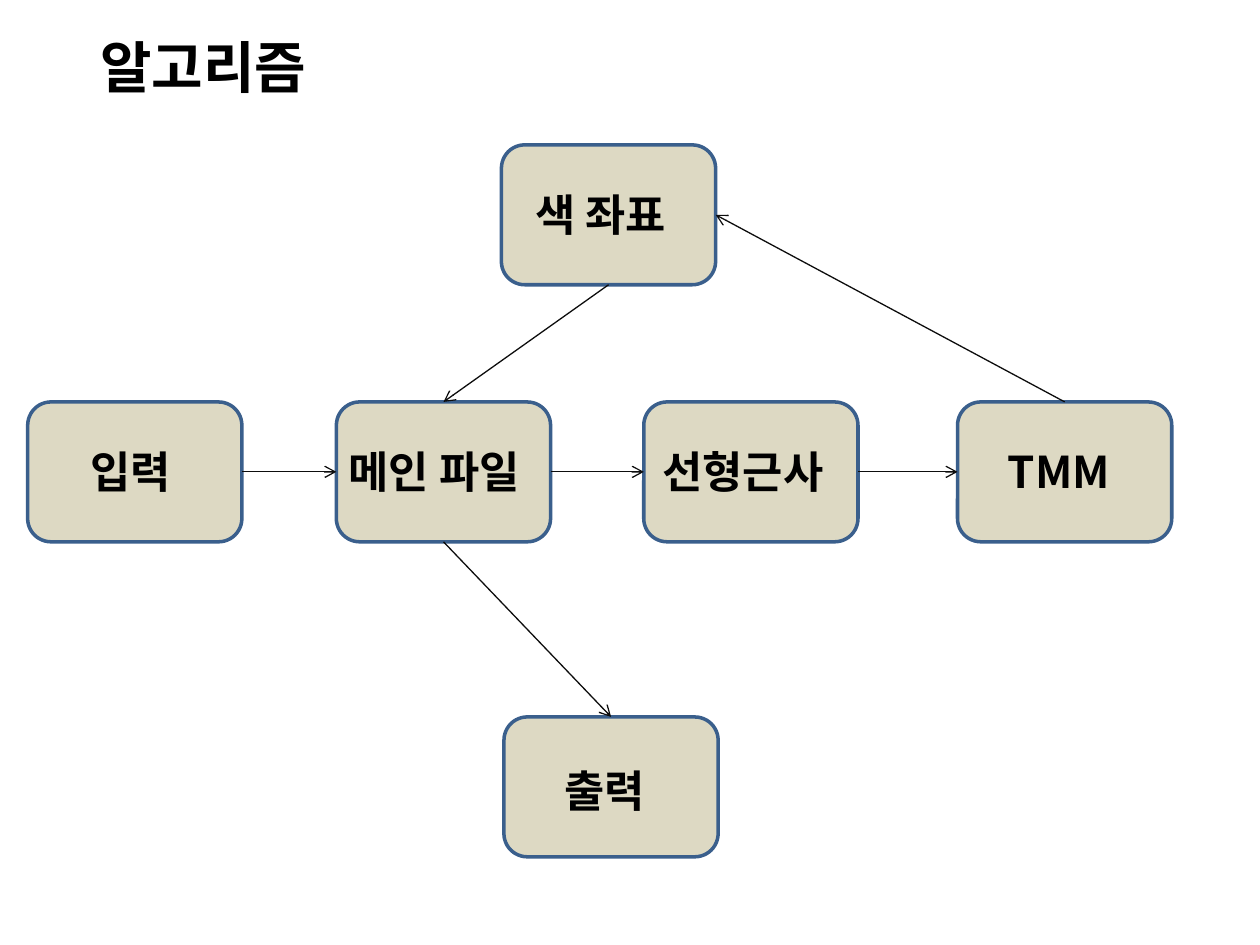
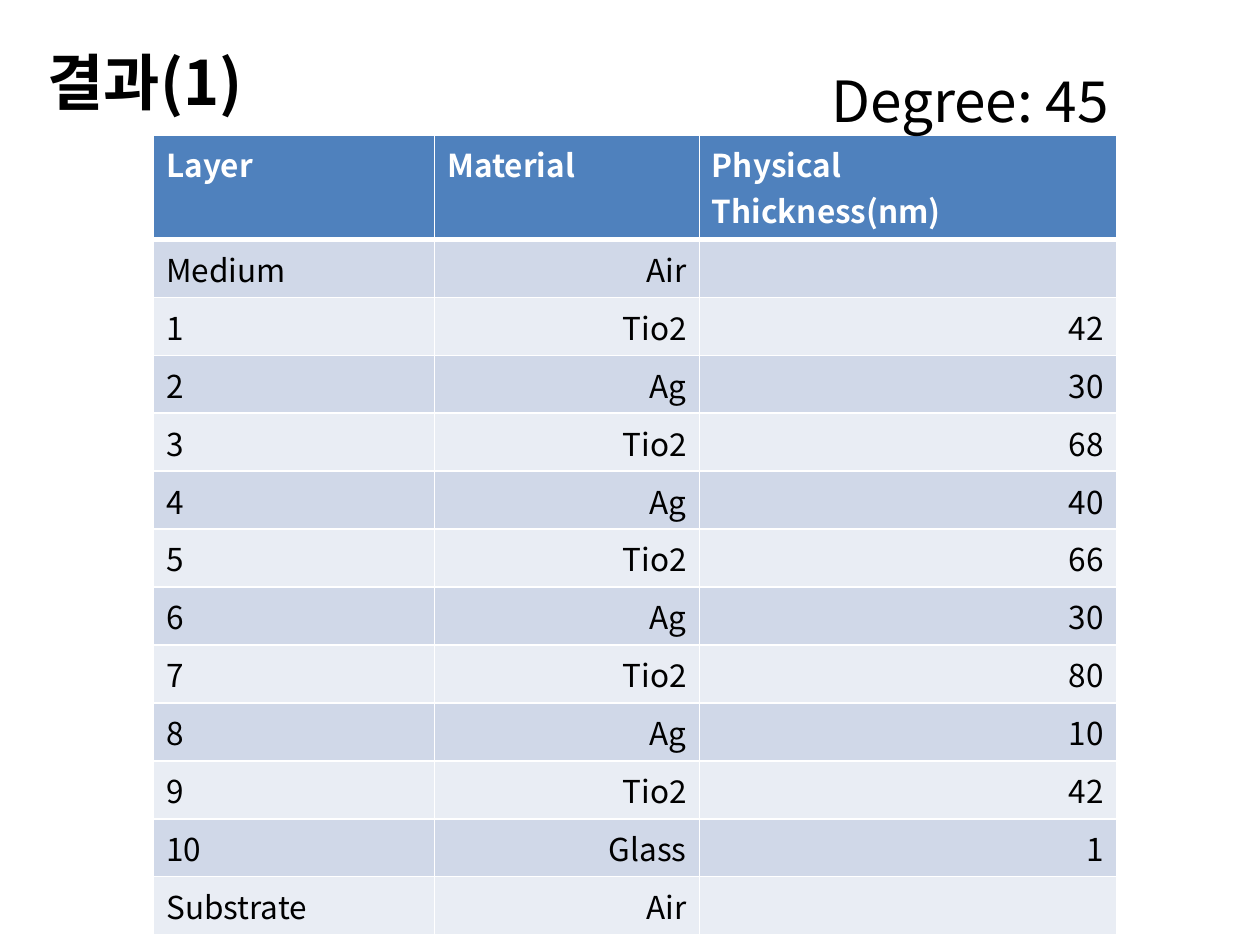
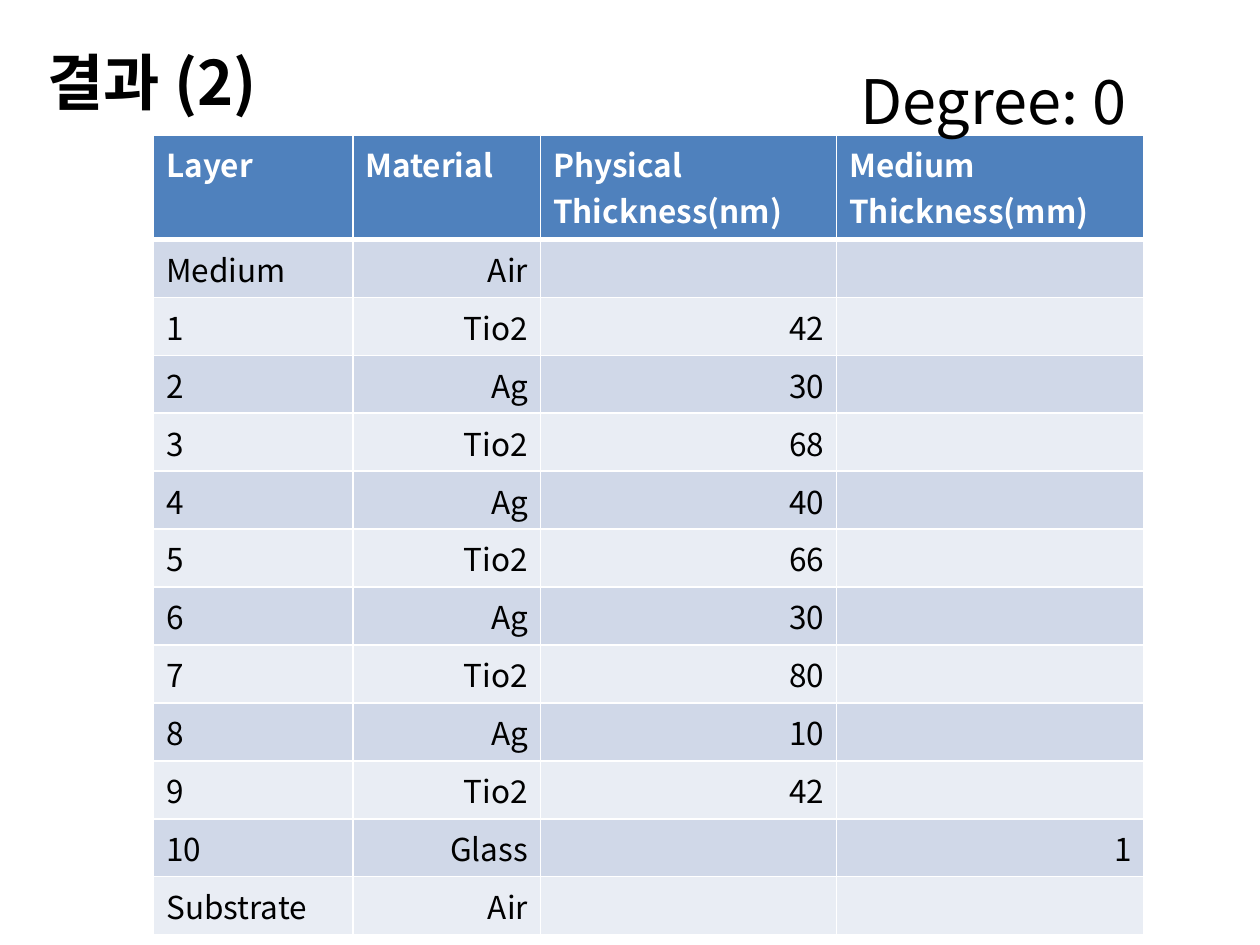
from dataclasses import dataclass

from lxml.etree import SubElement
from pptx import Presentation
from pptx.dml.color import RGBColor
from pptx.enum.shapes import MSO_CONNECTOR, MSO_SHAPE
from pptx.enum.text import MSO_ANCHOR, PP_ALIGN
from pptx.oxml.ns import qn
from pptx.shapes.autoshape import Shape
from pptx.slide import Slide
from pptx.table import _Cell
from pptx.text.text import TextFrame
from pptx.util import Inches, Pt

FONT = "Noto Sans CJK KR"
BLACK, WHITE = "000000", "FFFFFF"
STEP_FILL, STEP_LINE, ARROW_COLOR = "DDD9C3", "3A5F8C", "0D0D0D"
HEADER_FILL, BANDS = "4F81BD", ("D0D8E8", "E9EDF4")
STEP_WIDTH, STEP_HEIGHT = 1.7, 1.11
HEADER_HEIGHT, LAYER_HEIGHT = 0.83, 0.46
TOP, LEFT, BOTTOM, RIGHT = range(4)


@dataclass(frozen=True)
class TextStyle:
    size: float
    bold: bool = False
    color: str = BLACK
    align: PP_ALIGN = PP_ALIGN.LEFT


@dataclass(frozen=True)
class Area:
    left: float
    top: float
    width: float
    height: float


@dataclass(frozen=True)
class Step:
    label: str
    left: float
    top: float
    label_area: Area


@dataclass(frozen=True)
class Arrow:
    start: str
    start_side: int
    end: str
    end_side: int


@dataclass(frozen=True)
class Result:
    title: str
    degree: str
    degree_left: float
    degree_size: float
    column_widths: tuple[float, ...]
    headers: tuple[str, ...]
    rows: list[tuple[str, ...]]


TITLE_AREA = Area(0.28, 0.29, 3.23, 0.71)
TITLE_STYLE = TextStyle(35, bold=True)
LABEL_STYLE = TextStyle(25, bold=True)
HEADER_STYLE = TextStyle(18, bold=True, color=WHITE)

STEPS = [
    Step("입력", 0.22, 3.19, Area(0.62, 3.48, 1.1, 0.52)),
    Step("선형근사", 5.11, 3.19, Area(5.16, 3.48, 1.59, 0.52)),
    Step("TMM", 7.6, 3.19, Area(7.9, 3.48, 1.1, 0.52)),
    Step("색 좌표", 3.98, 1.15, Area(4.15, 1.44, 1.36, 0.52)),
    Step("메인 파일", 2.67, 3.19, Area(2.67, 3.48, 1.84, 0.52)),
    Step("출력", 4, 5.69, Area(4.38, 6.01, 0.94, 0.52)),
]
ARROWS = [
    Arrow("입력", RIGHT, "메인 파일", LEFT),
    Arrow("메인 파일", RIGHT, "선형근사", LEFT),
    Arrow("선형근사", RIGHT, "TMM", LEFT),
    Arrow("TMM", TOP, "색 좌표", RIGHT),
    Arrow("메인 파일", BOTTOM, "출력", TOP),
    Arrow("색 좌표", BOTTOM, "메인 파일", TOP),
]

FILM_THICKNESSES = (42, 30, 68, 40, 66, 30, 80, 10, 42)
FILMS = [
    (str(number), "Tio2" if number % 2 else "Ag", str(thickness))
    for number, thickness in enumerate(FILM_THICKNESSES, start=1)
]
HEADERS = ("Layer", "Material", "Physical\nThickness(nm)")
RESULTS = [
    Result(
        "결과(1)", "Degree: 45", 6.5, 32.4, (2.23, 2.1, 3.31), HEADERS,
        [("Medium", "Air"), *FILMS, ("10", "Glass", "1"), ("Substrate", "Air")],
    ),
    Result(
        "결과 (2)", "Degree: 0", 6.73, 35, (1.58, 1.49, 2.35, 2.44),
        (*HEADERS, "Medium\nThickness(mm)"),
        [("Medium", "Air"), *FILMS, ("10", "Glass", "", "1"), ("Substrate", "Air")],
    ),
]


def rgb(color: str) -> RGBColor:
    return RGBColor.from_string(color)


def write(frame: TextFrame, text: str, style: TextStyle) -> None:
    """Write one paragraph for each line of the text."""
    for index, line in enumerate(text.split("\n")):
        para = frame.add_paragraph() if index else frame.paragraphs[0]
        para.alignment = style.align
        span = para.add_run()
        span.text = line
        span.font.name = FONT
        span.font.size = Pt(style.size)
        span.font.bold = style.bold
        span.font.color.rgb = rgb(style.color)
        SubElement(span.font._element, qn("a:ea"), typeface=FONT)


def add_text(page: Slide, area: Area, text: str, style: TextStyle,
             anchor: MSO_ANCHOR = MSO_ANCHOR.TOP) -> None:
    box = page.shapes.add_textbox(
        Inches(area.left), Inches(area.top), Inches(area.width), Inches(area.height)
    )
    box.text_frame.word_wrap = True
    box.text_frame.vertical_anchor = anchor
    write(box.text_frame, text, style)


def add_step(page: Slide, step: Step) -> Shape:
    box = page.shapes.add_shape(
        MSO_SHAPE.ROUNDED_RECTANGLE,
        Inches(step.left), Inches(step.top), Inches(STEP_WIDTH), Inches(STEP_HEIGHT),
    )
    box.shadow.inherit = False
    box.fill.solid()
    box.fill.fore_color.rgb = rgb(STEP_FILL)
    box.line.color.rgb = rgb(STEP_LINE)
    box.line.width = Pt(2)
    add_text(page, step.label_area, step.label, LABEL_STYLE)
    return box


def add_arrow(page: Slide, arrow: Arrow, boxes: dict[str, Shape]) -> None:
    connector = page.shapes.add_connector(MSO_CONNECTOR.STRAIGHT, 0, 0, 0, 0)
    connector.begin_connect(boxes[arrow.start], arrow.start_side)
    connector.end_connect(boxes[arrow.end], arrow.end_side)
    connector.line.color.rgb = rgb(ARROW_COLOR)
    connector.line.width = Pt(0.75)
    SubElement(connector.line._get_or_add_ln(), qn("a:tailEnd"), type="arrow")
    SubElement(connector._element.spPr, qn("a:effectLst"))


def style_cell(cell: _Cell, color: str, top: float, bottom: float) -> None:
    """Draw white borders, with top and bottom widths in points, and fill the cell."""
    properties = cell._tc.get_or_add_tcPr()
    for side, width in (("L", 1), ("R", 1), ("T", top), ("B", bottom)):
        border = SubElement(properties, qn(f"a:ln{side}"), w=str(Pt(width)))
        SubElement(SubElement(border, qn("a:solidFill")), qn("a:srgbClr"), val=WHITE)
    cell.fill.solid()
    cell.fill.fore_color.rgb = rgb(color)


def add_layer_table(page: Slide, result: Result) -> None:
    row_heights = [HEADER_HEIGHT] + [LAYER_HEIGHT] * len(result.rows)
    table = page.shapes.add_table(
        len(row_heights), len(result.headers), Inches(1.22), Inches(1.07),
        Inches(sum(result.column_widths)), Inches(sum(row_heights)),
    ).table
    table.horz_banding = False
    for column, width in zip(table.columns, result.column_widths):
        column.width = Inches(width)
    for row, height in zip(table.rows, row_heights):
        row.height = Inches(height)

    for index, header in enumerate(result.headers):
        cell = table.cell(0, index)
        style_cell(cell, HEADER_FILL, top=1, bottom=3)
        write(cell.text_frame, header, HEADER_STYLE)
    for row_index, values in enumerate(result.rows, start=1):
        for index in range(len(result.headers)):
            cell = table.cell(row_index, index)
            style_cell(cell, BANDS[(row_index - 1) % 2],
                       top=3 if row_index == 1 else 1, bottom=1)
            if index < len(values) and values[index]:
                align = PP_ALIGN.RIGHT if index else PP_ALIGN.LEFT
                write(cell.text_frame, values[index], TextStyle(18, align=align))


def build_algorithm(page: Slide) -> None:
    title_style = TextStyle(32, bold=True, align=PP_ALIGN.CENTER)
    add_text(page, Area(0.28, 0.21, 2.67, 0.68), "알고리즘", title_style)
    boxes = {step.label: add_step(page, step) for step in STEPS}
    for arrow in ARROWS:
        add_arrow(page, arrow, boxes)


def build_result(page: Slide, result: Result) -> None:
    add_text(page, TITLE_AREA, result.title, TITLE_STYLE, MSO_ANCHOR.MIDDLE)
    add_layer_table(page, result)
    add_text(page, Area(result.degree_left, 0.44, 2.6, 0.71), result.degree,
             TextStyle(result.degree_size), MSO_ANCHOR.MIDDLE)


def main() -> None:
    deck = Presentation()
    deck.slide_width, deck.slide_height = Inches(10), Inches(7.5)
    blank = deck.slide_layouts[6]
    build_algorithm(deck.slides.add_slide(blank))
    for result in RESULTS:
        build_result(deck.slides.add_slide(blank), result)
    deck.save("out.pptx")


if __name__ == "__main__":
    main()
